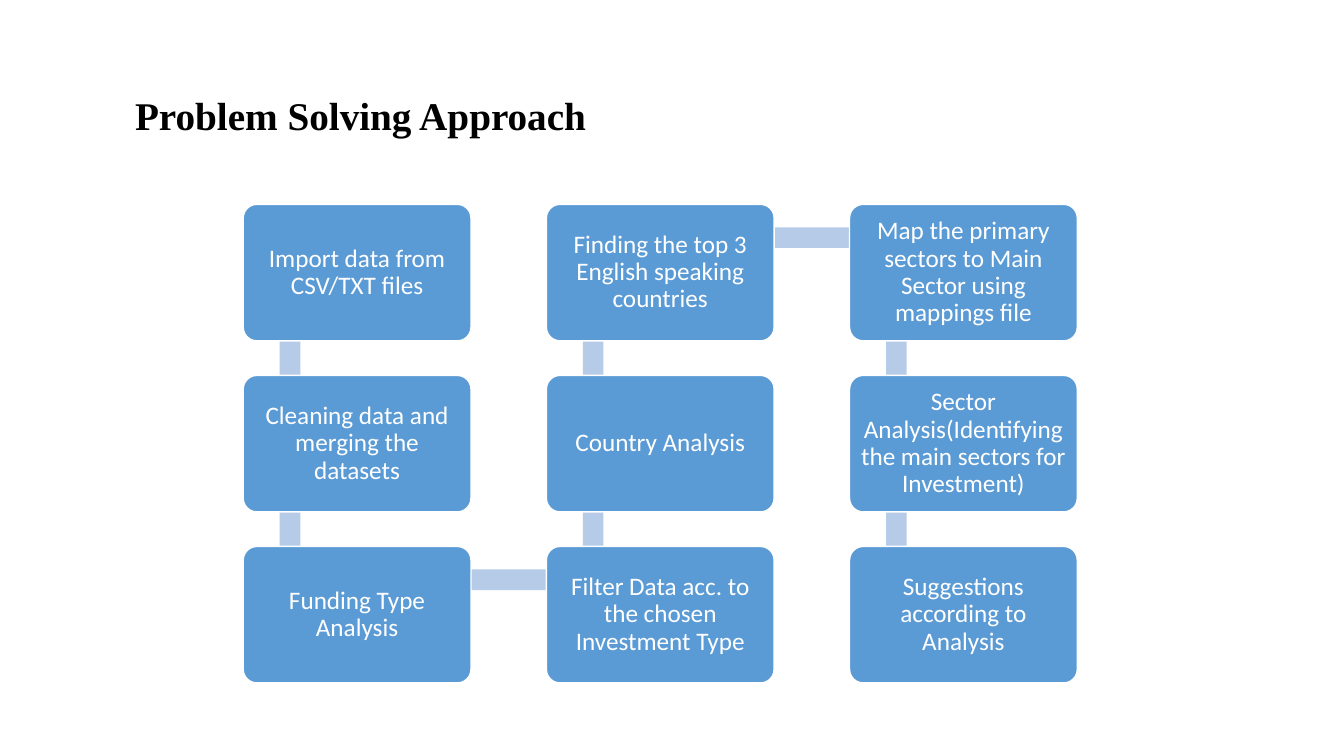
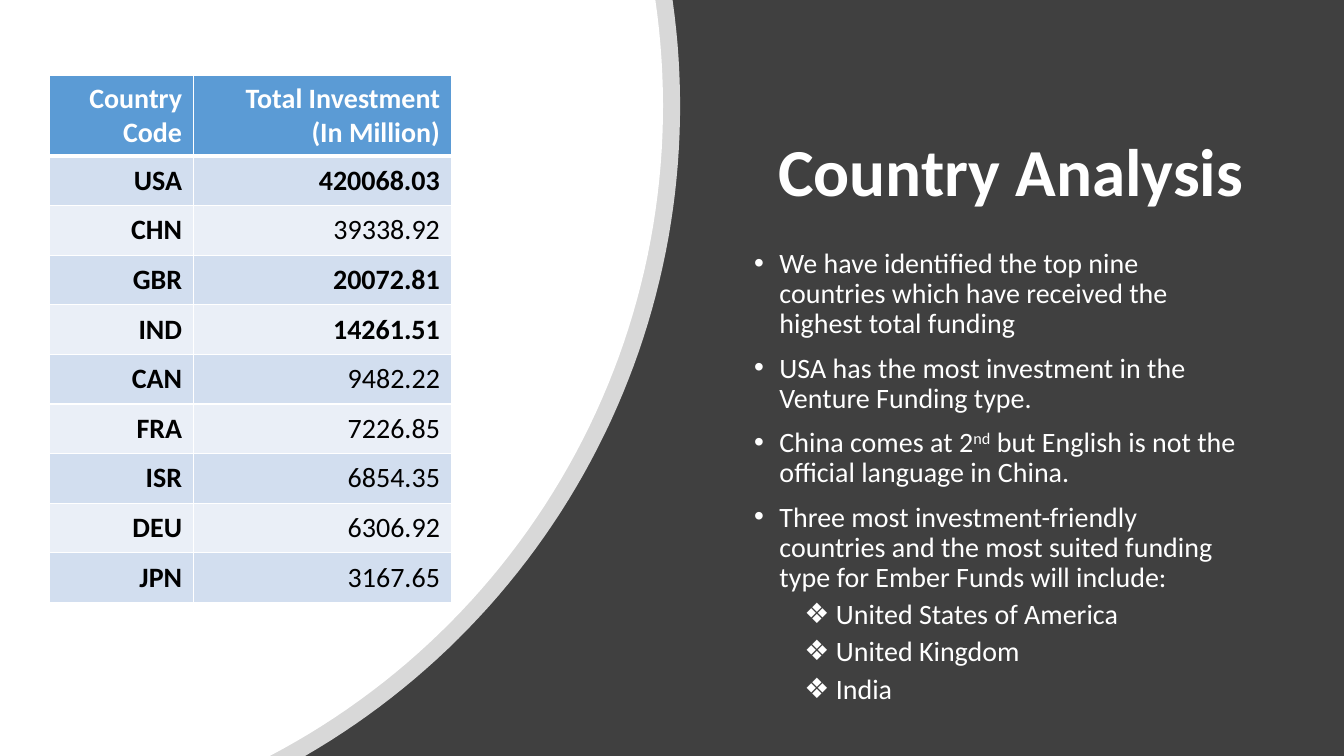
import math

from lxml import etree
from pptx import Presentation
from pptx.dml.color import RGBColor
from pptx.enum import shapes, text
from pptx.oxml import ns
from pptx.util import Cm, Pt

# Content
STEP_COLUMNS = [  # each column from top to bottom
    ["Import data from CSV/TXT files",
     "Cleaning data and merging the datasets",
     "Funding Type Analysis"],
    ["Finding the top 3 English speaking countries",
     "Country Analysis",
     "Filter Data acc. to the chosen Investment Type"],
    ["Map the primary sectors to Main Sector using mappings file",
     "Sector Analysis(Identifying the main sectors for Investment)",
     "Suggestions according to Analysis"],
]
TABLE_HEAD = (["Country Code"], ["Total Investment", "(In Million)"])
INVESTMENTS = [
    ("USA", "420068.03"), ("CHN", "39338.92"), ("GBR", "20072.81"),
    ("IND", "14261.51"), ("CAN", "9482.22"), ("FRA", "7226.85"),
    ("ISR", "6854.35"), ("DEU", "6306.92"), ("JPN", "3167.65"),
]
CHOSEN = {"USA", "GBR", "IND"}
FINDINGS = [  # level, runs as (words, superscript)
    (0, [("We have identified the top nine countries which have received "
          "the highest total funding", False)]),
    (0, [("USA has the most investment in the Venture Funding type.", False)]),
    (0, [("China comes at 2", False), ("nd", True),
         (" but English is not the official language in China.", False)]),
    (0, [("Three most investment-friendly countries and the most suited "
          "funding type for Ember Funds will include:", False)]),
    (1, [("United States of America", False)]),
    (1, [("United Kingdom", False)]),
    (1, [("India", False)]),
]
# Per level: bullet, text indent, hanging indent, space before
BULLETS = [("\u2022", Cm(0.64), Cm(0.64), Pt(10)),
           ("\u2756", Cm(2.06), Cm(0.79), Pt(5))]

# Shared style
WHITE = RGBColor(0xFF, 0xFF, 0xFF)
BLACK = RGBColor(0, 0, 0)
BLUE = RGBColor(0x5B, 0x9B, 0xD5)
PALE_BLUE = RGBColor(0xB5, 0xCB, 0xE7)
CHARCOAL = RGBColor(0x40, 0x40, 0x40)
BANDS = (RGBColor(0xD2, 0xDE, 0xEF), RGBColor(0xEA, 0xEF, 0xF7))
BODY_FONT, TITLE_FONT = "Calibri", "Times New Roman"

deck = Presentation()
deck.slide_width, deck.slide_height = Cm(33.87), Cm(19.05)


def add_span(para, words, size, color=WHITE, bold=False, font=BODY_FONT):
    span = para.add_run()
    span.text = words
    span.font.name, span.font.size = font, Pt(size)
    span.font.bold, span.font.color.rgb = bold, color
    return span


def place(box, left, top, width, height):
    box.left, box.top, box.width, box.height = map(Cm, (left, top, width, height))
    frame = box.text_frame
    frame.word_wrap, frame.auto_size = True, text.MSO_AUTO_SIZE.NONE
    return frame


def set_title(page, words, area, anchor, size, color, font):
    frame = place(page.shapes.title, *area)
    frame.vertical_anchor = anchor
    para = frame.paragraphs[0]
    para.alignment, para.line_spacing = text.PP_ALIGN.LEFT, 0.9
    add_span(para, words, size, color, True, font)
    return frame


def paint(shape, color, edge=None):
    shape.shadow.inherit = False
    shape.fill.solid()
    shape.fill.fore_color.rgb = color
    if edge is None:
        shape.line.fill.background()
    else:
        shape.line.color.rgb, shape.line.width = edge, Pt(1)
    return shape


def add_box(page, kind, left, top, width, height, color, edge=None):
    return paint(page.shapes.add_shape(
        kind, Cm(left), Cm(top), Cm(width), Cm(height)), color, edge)


# Slide 1: steps snake down, up and down through three columns
page = deck.slides.add_slide(deck.slide_layouts[5])
set_title(page, "Problem Solving Approach", (3.15, 1.78, 25.88, 2.39),
          text.MSO_ANCHOR.MIDDLE, 28, BLACK, TITLE_FONT)

GRID_LEFT, GRID_TOP = 6.13, 5.15
STEP_WIDTH, STEP_HEIGHT = 5.74, 3.44
PITCH_X, PITCH_Y = 7.64, 4.31
BAR = 0.52

route = []
for col, steps in enumerate(STEP_COLUMNS):
    cells = [(GRID_LEFT + col * PITCH_X, GRID_TOP + row * PITCH_Y, words)
             for row, words in enumerate(steps)]
    route += cells[::-1] if col % 2 else cells

for (x1, y1, _), (x2, y2, _) in zip(route, route[1:]):
    if x1 == x2:
        bar = (x1 + 0.92, min(y1, y2) + 0.85, BAR, PITCH_Y)
    else:
        bar = (x1 + 1.18, y1 + 0.58, PITCH_X, BAR)
    add_box(page, shapes.MSO_SHAPE.RECTANGLE, *bar, PALE_BLUE)

for left, top, words in route:
    step = add_box(page, shapes.MSO_SHAPE.ROUNDED_RECTANGLE, left, top,
                   STEP_WIDTH, STEP_HEIGHT, BLUE, WHITE)
    step.adjustments[0] = 0.1
    frame = step.text_frame
    frame.word_wrap, frame.vertical_anchor = True, text.MSO_ANCHOR.MIDDLE
    frame.margin_left = frame.margin_right = Cm(0.18)
    frame.margin_top = frame.margin_bottom = Cm(0.18)
    para = frame.paragraphs[0]
    para.alignment, para.line_spacing = text.PP_ALIGN.CENTER, 0.9
    add_span(para, words, 18)

# Slide 2: dark panel, title and findings
page = deck.slides.add_slide(deck.slide_layouts[1])
panel = add_box(page, shapes.MSO_SHAPE.RECTANGLE, 0, 0, 33.87, 19.05, CHARCOAL)
page.shapes.title.element.addprevious(panel.element)
frame = set_title(page, "Country Analysis", (18.87, 0.86, 12.9, 4.7),
                  text.MSO_ANCHOR.BOTTOM, 48, WHITE, BODY_FONT)
frame.margin_left, frame.margin_bottom = Cm(0.74), Cm(0.23)

frame = place(page.placeholders[1], 18.75, 6.15, 12.9, 12.55)
frame.vertical_anchor = text.MSO_ANCHOR.TOP
for index, (level, runs) in enumerate(FINDINGS):
    para = frame.add_paragraph() if index else frame.paragraphs[0]
    mark, indent, hang, gap = BULLETS[level]
    para.level, para.line_spacing = level, 0.9
    para.space_before, para.space_after = gap, Pt(0)
    props = para._p.get_or_add_pPr()
    props.set("marL", str(indent))
    props.set("indent", str(-hang))
    etree.SubElement(props, ns.qn("a:buFont")).set("typeface", "Arial")
    etree.SubElement(props, ns.qn("a:buChar")).set("char", mark)
    for words, raised in runs:
        span = add_span(para, words, 20)
        if raised:
            span._r.get_or_add_rPr().set("baseline", "30000")

# White area bounded by an arc, with a translucent rim behind it
ARC_X, ARC_Y, ARC_STEPS = -1.78, 2.67, 60
for radius, alpha in ((18.92, 80), (18.49, 100)):
    start = math.asin(-ARC_Y / radius)
    end = math.asin((19.05 - ARC_Y) / radius)
    angles = [start + (end - start) * i / ARC_STEPS for i in range(ARC_STEPS + 1)]
    arc = [(Cm(ARC_X + radius * math.cos(a)), Cm(ARC_Y + radius * math.sin(a)))
           for a in angles]
    builder = page.shapes.build_freeform(0, 0)
    builder.add_line_segments(arc + [(0, Cm(19.05))], close=True)
    area = paint(builder.convert_to_shape(), WHITE)
    if alpha < 100:
        tone = area.element.spPr.find(".//" + ns.qn("a:srgbClr"))
        etree.SubElement(tone, ns.qn("a:alpha")).set("val", str(alpha * 1000))

# Investment table
HEAD_HEIGHT, ROW_HEIGHT = 1.99, 1.25
COLUMN_WIDTHS = (3.62, 6.5)
table = page.shapes.add_table(
    len(INVESTMENTS) + 1, 2, Cm(1.25), Cm(1.9), Cm(sum(COLUMN_WIDTHS)),
    Cm(HEAD_HEIGHT + ROW_HEIGHT * len(INVESTMENTS))).table
for column, width in zip(table.columns, COLUMN_WIDTHS):
    column.width = Cm(width)


def fill_cell(cell, lines, fill, color, bold, top, bottom):
    props = cell._tc.get_or_add_tcPr()
    for side, weight in (("L", 1), ("R", 1), ("T", top), ("B", bottom)):
        edge = etree.SubElement(props, ns.qn("a:ln" + side), w=str(Pt(weight)))
        solid = etree.SubElement(edge, ns.qn("a:solidFill"))
        etree.SubElement(solid, ns.qn("a:srgbClr"), val=str(WHITE))
    cell.fill.solid()
    cell.fill.fore_color.rgb = fill
    cell.vertical_anchor = text.MSO_ANCHOR.MIDDLE
    cell.margin_left = cell.margin_right = Cm(0.28)
    cell.margin_top = cell.margin_bottom = Cm(0.15)
    for index, words in enumerate(lines):
        para = (cell.text_frame.add_paragraph() if index
                else cell.text_frame.paragraphs[0])
        para.alignment = text.PP_ALIGN.RIGHT
        add_span(para, words, 20, color, bold)


table.rows[0].height = Cm(HEAD_HEIGHT)
for col, lines in enumerate(TABLE_HEAD):
    fill_cell(table.cell(0, col), lines, BLUE, WHITE, True, 1, 3)
for row, record in enumerate(INVESTMENTS, 1):
    table.rows[row].height = Cm(ROW_HEIGHT)
    for col, words in enumerate(record):
        fill_cell(table.cell(row, col), [words], BANDS[(row - 1) % 2], BLACK,
                  col == 0 or record[0] in CHOSEN, 3 if row == 1 else 1, 1)

deck.save("out.pptx")
